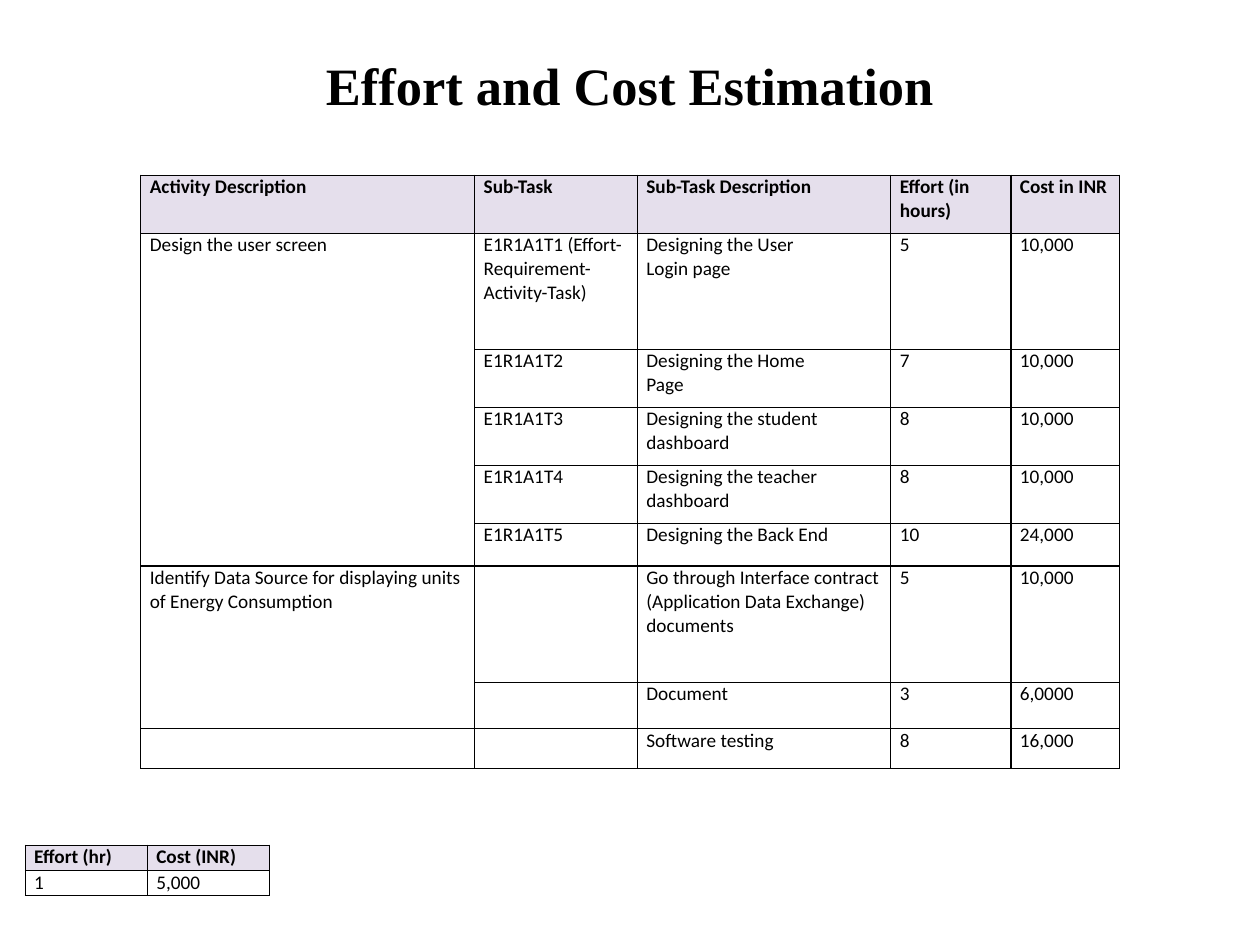
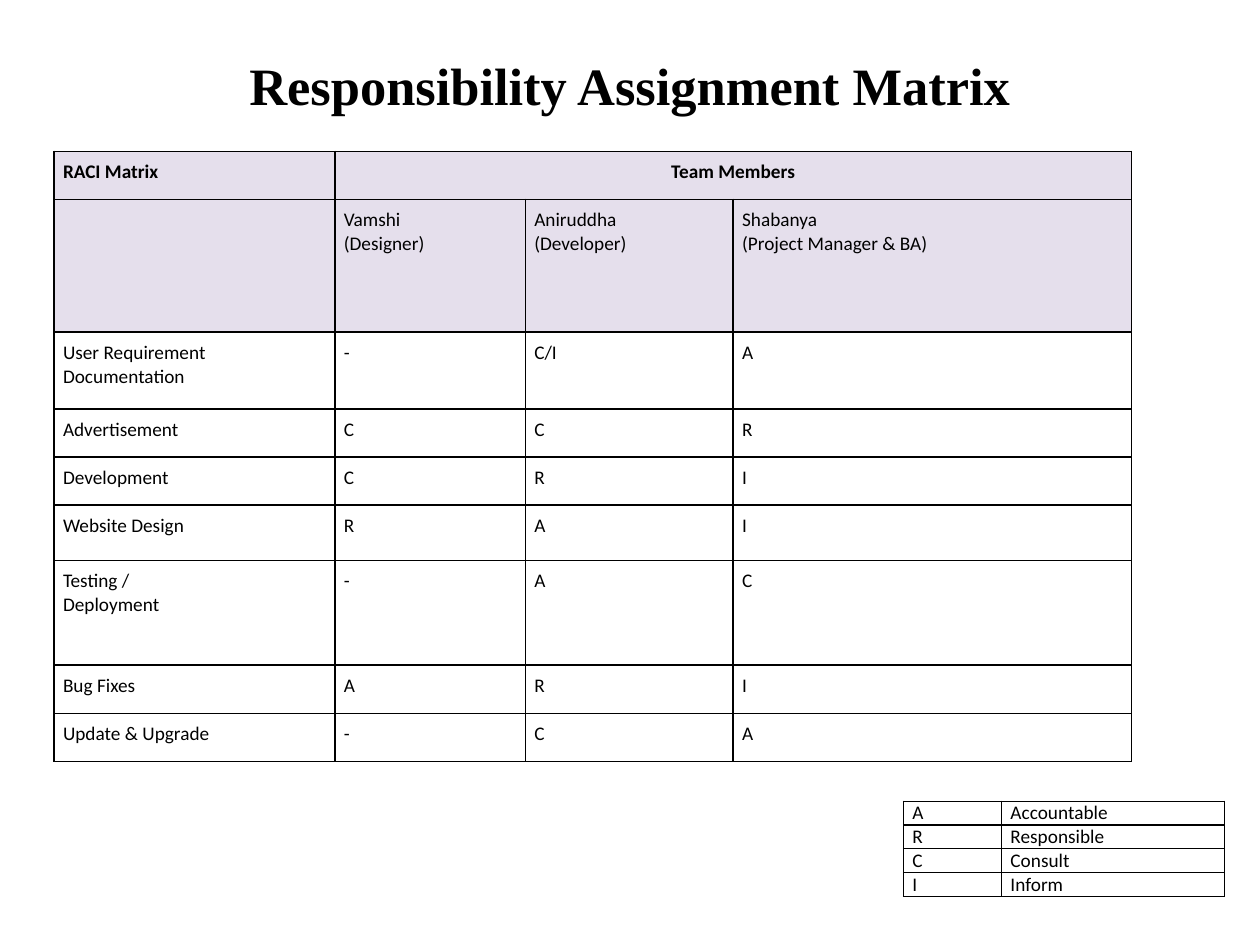
from dataclasses import dataclass
from itertools import product

from lxml import etree
from pptx import Presentation
from pptx import util as u
from pptx.dml.color import RGBColor
from pptx.enum import text
from pptx.oxml.ns import qn

Cm, Pt = u.Cm, u.Pt


@dataclass(frozen=True)
class Theme:
    ink: str = "000000"
    paper: str = "FFFFFF"
    header: str = "E5DFEC"
    title_font: str = "Times New Roman"
    table_font: str = "Calibri"
    title_size: int = 30
    table_size: int = 11
    side_margin: float = 0.18


THEME = Theme()

# Content: lengths in cm, merges as (top, left, bottom, right)
EFFORT = dict(
    at=(2.84, 3.53),
    cols=[6.73, 3.28, 5.11, 2.42, 2.18],
    heights=[1.17, 2.34, 1.17, 1.17, 1.17, 0.86, 2.34, 0.94, 0.81],
    headers=1,
    merges=[(1, 0, 5, 0), (6, 0, 7, 0)],
    rows=[
        ("Activity Description", "Sub-Task", "Sub-Task Description", "Effort (in hours)", "Cost in INR"),
        ("Design the user screen", "E1R1A1T1 (Effort-Requirement-Activity-Task)",
         "Designing the User\nLogin page", "5", "10,000"),
        ("", "E1R1A1T2", "Designing the Home\nPage", "7", "10,000"),
        ("", "E1R1A1T3", "Designing the student dashboard", "8", "10,000"),
        ("", "E1R1A1T4", "Designing the teacher dashboard", "8", "10,000"),
        ("", "E1R1A1T5", "Designing the Back End", "10", "24,000"),
        ("Identify Data Source for displaying units of Energy Consumption", "",
         "Go through Interface contract (Application Data Exchange) documents", "5", "10,000"),
        ("", "", "Document", "3", "6,0000"),
        ("", "", "Software testing", "8", "16,000"),
    ],
)

HOURLY_RATE = dict(
    at=(0.51, 17.04),
    cols=[2.46, 2.46],
    heights=[0.51] * 2,
    headers=1,
    rows=[("Effort (hr)", "Cost (INR)"), ("1", "5,000")],
)

RACI = dict(
    at=(1.09, 3.05),
    cols=[5.66, 3.84, 4.19, 8.03],
    heights=[0.97, 2.67, 1.55, 0.97, 0.97, 1.12, 2.11, 0.97, 0.97],
    headers=2,
    merges=[(0, 1, 0, 3)],
    centred=[(0, 1)],
    top_margin=0.18,
    border=1,
    rows=[
        ("RACI Matrix", "Team Members", "", ""),
        ("", "Vamshi\n(Designer)", "Aniruddha\n(Developer)", "Shabanya\n(Project Manager & BA)"),
        ("User Requirement\nDocumentation", "-", "C/I", "A"),
        ("Advertisement", "C", "C", "R"),
        ("Development", "C", "R", "I"),
        ("Website Design", "R", "A", "I"),
        ("Testing /\nDeployment", "-", "A", "C"),
        ("Bug Fixes", "A", "R", "I"),
        ("Update & Upgrade", "-", "C", "A"),
    ],
)

LEGEND = dict(
    at=(18.21, 16.15),
    cols=[1.98, 4.5],
    heights=[0.48] * 4,
    rows=[("A", "Accountable"), ("R", "Responsible"), ("C", "Consult"), ("I", "Inform")],
)

SLIDES = [
    ("Effort and Cost Estimation", [EFFORT, HOURLY_RATE]),
    ("Responsibility Assignment Matrix", [RACI, LEGEND]),
]


# Shared formatting
def style_paragraph(p, font, size, bold):
    p.font.name, p.font.size, p.font.bold = font, Pt(size), bold
    p.font.color.rgb = RGBColor.from_string(THEME.ink)


def add_borders(cell, width):
    tc_pr = cell._tc.get_or_add_tcPr()
    for side in ("lnL", "lnR", "lnT", "lnB"):
        ln = etree.SubElement(tc_pr, qn(f"a:{side}"), w=str(Pt(width)))
        fill = etree.SubElement(ln, qn("a:solidFill"))
        etree.SubElement(fill, qn("a:srgbClr"), val=THEME.ink)


def add_title(s, title):
    sp = s.shapes.title
    sp.left, sp.top, sp.width, sp.height = Cm(0), Cm(1.07), Cm(25.4), Cm(1.27)
    tf = sp.text_frame
    tf.text = title
    tf.vertical_anchor = text.MSO_ANCHOR.MIDDLE
    tf.auto_size = text.MSO_AUTO_SIZE.NONE
    p = tf.paragraphs[0]
    p.alignment = text.PP_ALIGN.CENTER
    style_paragraph(p, THEME.title_font, THEME.title_size, True)


def add_grid(s, at, cols, heights, rows, headers=0, merges=(), centred=(), top_margin=0, border=0.75):
    left, top = at
    table = s.shapes.add_table(len(rows), len(cols), Cm(left), Cm(top),
                               Cm(sum(cols)), Cm(sum(heights))).table
    table.first_row = table.horz_banding = False
    for column, width in zip(table.columns, cols):
        column.width = Cm(width)
    for row, height in zip(table.rows, heights):
        row.height = Cm(height)

    for r, c in product(range(len(rows)), range(len(cols))):
        cell = table.cell(r, c)
        add_borders(cell, border)
        cell.fill.solid()
        cell.fill.fore_color.rgb = RGBColor.from_string(THEME.header if r < headers else THEME.paper)
        cell.margin_left = cell.margin_right = Cm(THEME.side_margin)
        cell.margin_top = cell.margin_bottom = Cm(top_margin)
        cell.text = rows[r][c]
        for p in cell.text_frame.paragraphs:
            if (r, c) in centred:
                p.alignment = text.PP_ALIGN.CENTER
            style_paragraph(p, THEME.table_font, THEME.table_size, r == 0 and headers > 0)

    for r0, c0, r1, c1 in merges:
        table.cell(r0, c0).merge(table.cell(r1, c1))


# Build the slides
def main():
    prs = Presentation()
    prs.slide_width, prs.slide_height = Cm(25.4), Cm(19.05)
    for title, grids in SLIDES:
        s = prs.slides.add_slide(prs.slide_layouts.get_by_name("Title Only"))
        add_title(s, title)
        for grid in grids:
            add_grid(s, **grid)
    prs.save("out.pptx")


if __name__ == "__main__":
    main()
